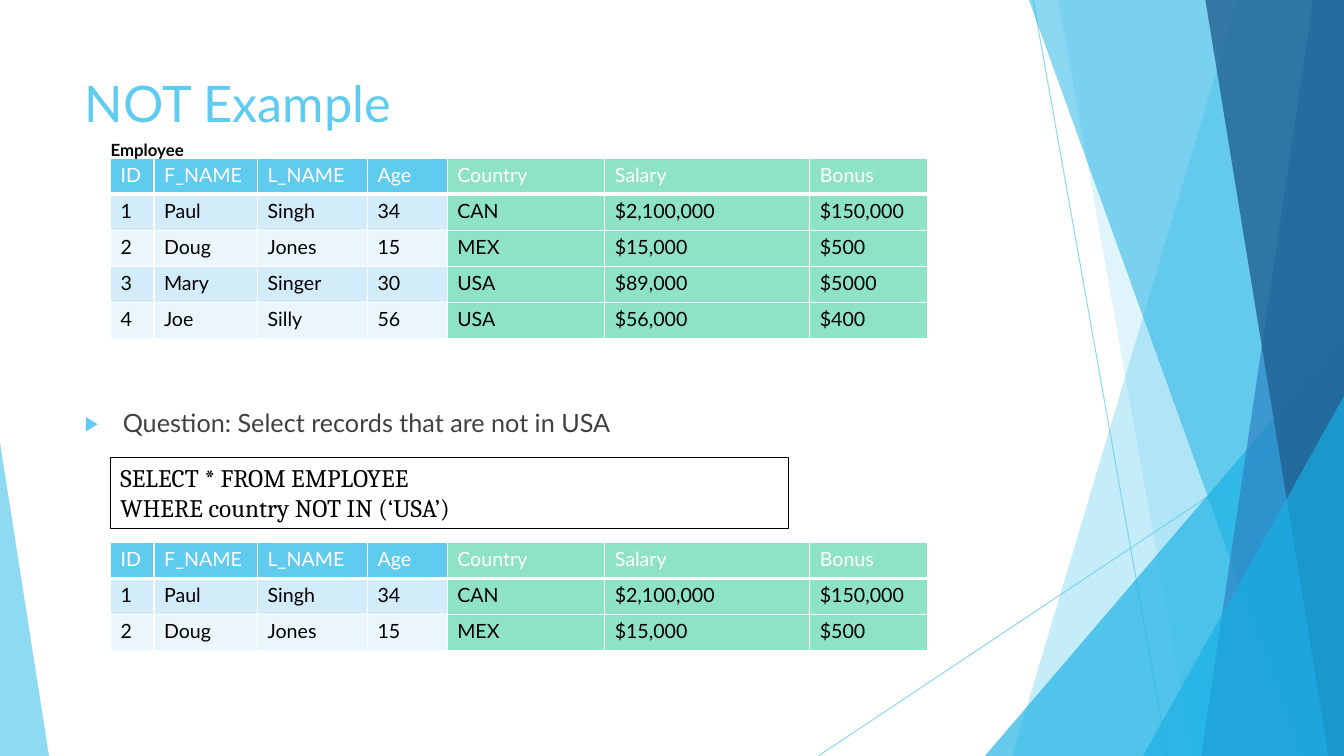
from lxml.etree import SubElement
from pptx import Presentation
from pptx.dml.color import RGBColor
from pptx.enum.shapes import MSO_CONNECTOR, MSO_SHAPE
from pptx.enum.text import MSO_ANCHOR, MSO_AUTO_SIZE, PP_ALIGN
from pptx.oxml.ns import qn
from pptx.util import Pt

COLORS = {
    "sky": "5FCBEF", "azure": "17B0E4", "blue": "2E83C3", "navy": "226292",
    "mint": "8EE3C7", "band_dark": "D2ECF9", "band_light": "EAF6FC",
    "gray": "404040", "black": "000000", "white": "FFFFFF",
}
COLUMN_WIDTHS = [31, 74, 78.5, 57, 112.5, 146.5, 84]
ROW_HEIGHT = 25.75
HEADINGS = ["ID", "F_NAME", "L_NAME", "Age", "Country", "Salary", "Bonus"]
EMPLOYEES = [
    ["1", "Paul", "Singh", "34", "CAN", "$2,100,000", "$150,000"],
    ["2", "Doug", "Jones", "15", "MEX", "$15,000", "$500"],
    ["3", "Mary", "Singer", "30", "USA", "$89,000", "$5000"],
    ["4", "Joe", "Silly", "56", "USA", "$56,000", "$400"],
]


class QuerySlide:
    """Draws the elements of one slide in a shared style."""

    def __init__(self, deck):
        self.font = "Lato"
        self.width = deck.slide_width.pt
        self.height = deck.slide_height.pt
        self.slide = deck.slides.add_slide(deck.slide_layouts[1])
        self.shapes = self.slide.shapes

    def rgb(self, color):
        """Returns a named colour."""
        return RGBColor.from_string(COLORS[color])

    def fade(self, shape, opacity):
        """Sets the opacity of a shape's only colour, in percent."""
        tint = shape._element.spPr.xpath(".//a:srgbClr")[0]
        SubElement(tint, qn("a:alpha"), val=str(opacity * 1000))

    def paint(self, facet, color, opacity):
        """Gives a facet a translucent fill without an outline."""
        facet.shadow.inherit = False
        facet.fill.solid()
        facet.fill.fore_color.rgb = self.rgb(color)
        facet.line.fill.background()
        self.fade(facet, opacity)

    def ray(self, x1, y1, x2, y2):
        """Draws a thin translucent line."""
        ray = self.shapes.add_connector(
            MSO_CONNECTOR.STRAIGHT, Pt(x1), Pt(y1), Pt(x2), Pt(y2))
        ray.line.color.rgb = self.rgb("sky")
        ray.line.width = Pt(0.75)
        self.fade(ray, 70)
        SubElement(ray._element.spPr, qn("a:effectLst"))

    def panel(self, top_x, bottom_x, color, opacity):
        """Fills from a slanted edge to the right side of the slide."""
        outline = self.shapes.build_freeform(Pt(top_x), Pt(0))
        corners = [(self.width, 0), (self.width, self.height), (bottom_x, self.height)]
        outline.add_line_segments([(Pt(x), Pt(y)) for x, y in corners])
        self.paint(outline.convert_to_shape(), color, opacity)

    def wedge(self, left, top, width, apex, color, opacity):
        """Draws a right triangle standing on the bottom of the slide."""
        wedge = self.shapes.add_shape(
            MSO_SHAPE.ISOSCELES_TRIANGLE, Pt(left), Pt(top), Pt(width), Pt(self.height - top))
        wedge.adjustments[0] = apex
        self.paint(wedge, color, opacity)

    def fill_text(self, frame, text, size, color, font=None, bold=False):
        """Fills a text frame and formats its runs."""
        frame.text = text
        frame.word_wrap = True
        frame.auto_size = MSO_AUTO_SIZE.NONE
        frame.vertical_anchor = MSO_ANCHOR.TOP
        for paragraph in frame.paragraphs:
            paragraph.alignment = PP_ALIGN.LEFT
            paragraph.space_before = Pt(0)
            for run in paragraph.runs:
                self.style(run.font, size, color, font, bold)

    def style(self, font, size, color, name=None, bold=False):
        """Sets typeface, size, weight and colour."""
        font.name = name or self.font
        font.size = Pt(size)
        font.bold = bold
        font.color.rgb = self.rgb(color)

    def place(self, placeholder, left, top, width, height):
        """Moves a placeholder in front of the decoration."""
        placeholder.left, placeholder.top = Pt(left), Pt(top)
        placeholder.width, placeholder.height = Pt(width), Pt(height)
        self.shapes._spTree.append(placeholder._element)

    def title(self, text, *box):
        """Fills the title placeholder."""
        heading = self.shapes.title
        self.place(heading, *box)
        self.fill_text(heading.text_frame, text, 36, "sky")

    def question(self, text, *box):
        """Fills the body placeholder with one bulleted line."""
        question = self.slide.placeholders[1]
        self.place(question, *box)
        self.fill_text(question.text_frame, text, 18, "gray")
        properties = question.text_frame.paragraphs[0]._p.get_or_add_pPr()
        properties.set("marL", str(Pt(27)))
        properties.set("indent", str(-Pt(27)))
        bullet_color = SubElement(properties, qn("a:buClr"))
        SubElement(bullet_color, qn("a:srgbClr"), val=COLORS["sky"])
        SubElement(properties, qn("a:buSzPct"), val="80000")
        SubElement(properties, qn("a:buFont"), typeface=self.font)
        SubElement(properties, qn("a:buChar"), char="▶")

    def text_box(self, text, left, top, width, height, size, font=None, bold=False, outlined=False):
        """Adds black text, with a thin outline if wanted."""
        box = self.shapes.add_textbox(Pt(left), Pt(top), Pt(width), Pt(height))
        self.fill_text(box.text_frame, text, size, "black", font, bold)
        if outlined:
            box.line.color.rgb = self.rgb("black")
            box.line.width = Pt(0.75)

    def border(self, cell, bottom):
        """Draws white borders around a cell."""
        properties = cell._tc.get_or_add_tcPr()
        sides = [("a:lnL", 1), ("a:lnR", 1), ("a:lnT", 1), ("a:lnB", bottom)]
        for position, (side, width) in enumerate(sides):
            edge = properties.makeelement(qn(side), {"w": str(Pt(width))})
            properties.insert(position, edge)
            SubElement(SubElement(edge, qn("a:solidFill")), qn("a:srgbClr"), val=COLORS["white"])

    def records(self, left, top, employees):
        """Adds a table of employees under the headings."""
        rows = [HEADINGS, *employees]
        table = self.shapes.add_table(
            len(rows), len(HEADINGS), Pt(left), Pt(top),
            Pt(sum(COLUMN_WIDTHS)), Pt(ROW_HEIGHT * len(rows))).table
        table.first_row = table.horz_banding = False
        for column, width in zip(table.columns, COLUMN_WIDTHS):
            column.width = Pt(width)
        for r, values in enumerate(rows):
            table.rows[r].height = Pt(ROW_HEIGHT)
            band = "sky" if r == 0 else ("band_light", "band_dark")[r % 2]
            for c, value in enumerate(values):
                cell = table.cell(r, c)
                cell.text = value
                font = cell.text_frame.paragraphs[0].runs[0].font
                self.style(font, 14, "black" if r else "white")
                cell.fill.solid()
                cell.fill.fore_color.rgb = self.rgb(band if c < 4 else "mint")
                self.border(cell, 1 if r else 3)


def main():
    """Builds and saves the slide."""
    deck = Presentation()
    deck.slide_width, deck.slide_height = Pt(960), Pt(540)
    page = QuerySlide(deck)

    page.ray(738, 0, 834, 540)
    page.ray(960, 290, 584.5, 540)
    page.panel(884, 723, "sky", 36)
    page.panel(756, 852, "sky", 20)
    page.wedge(703.5, 240, 256.5, 1, "azure", 66)
    page.panel(735, 929.5, "azure", 50)
    page.panel(938, 858, "blue", 70)
    page.panel(861, 949, "navy", 80)
    page.wedge(816.5, 283, 143.5, 1, "azure", 66)
    page.wedge(0, 316, 35, 0, "sky", 70)

    page.title("NOT Example", 53.5, 48, 677, 104)
    page.question("Question: Select records that are not in USA", 53.5, 287.5, 677, 45)
    page.records(79, 113, EMPLOYEES)
    page.text_box("Employee", 72, 96.5, 155, 21.5, 12, bold=True)
    page.text_box("SELECT * FROM EMPLOYEE\nWHERE country NOT IN (‘USA’)",
                  79, 326.5, 484.5, 51, 18, font="Cambria", outlined=True)
    page.records(79, 387.5, [person for person in EMPLOYEES if person[4] != "USA"])
    deck.save("out.pptx")


if __name__ == "__main__":
    main()
